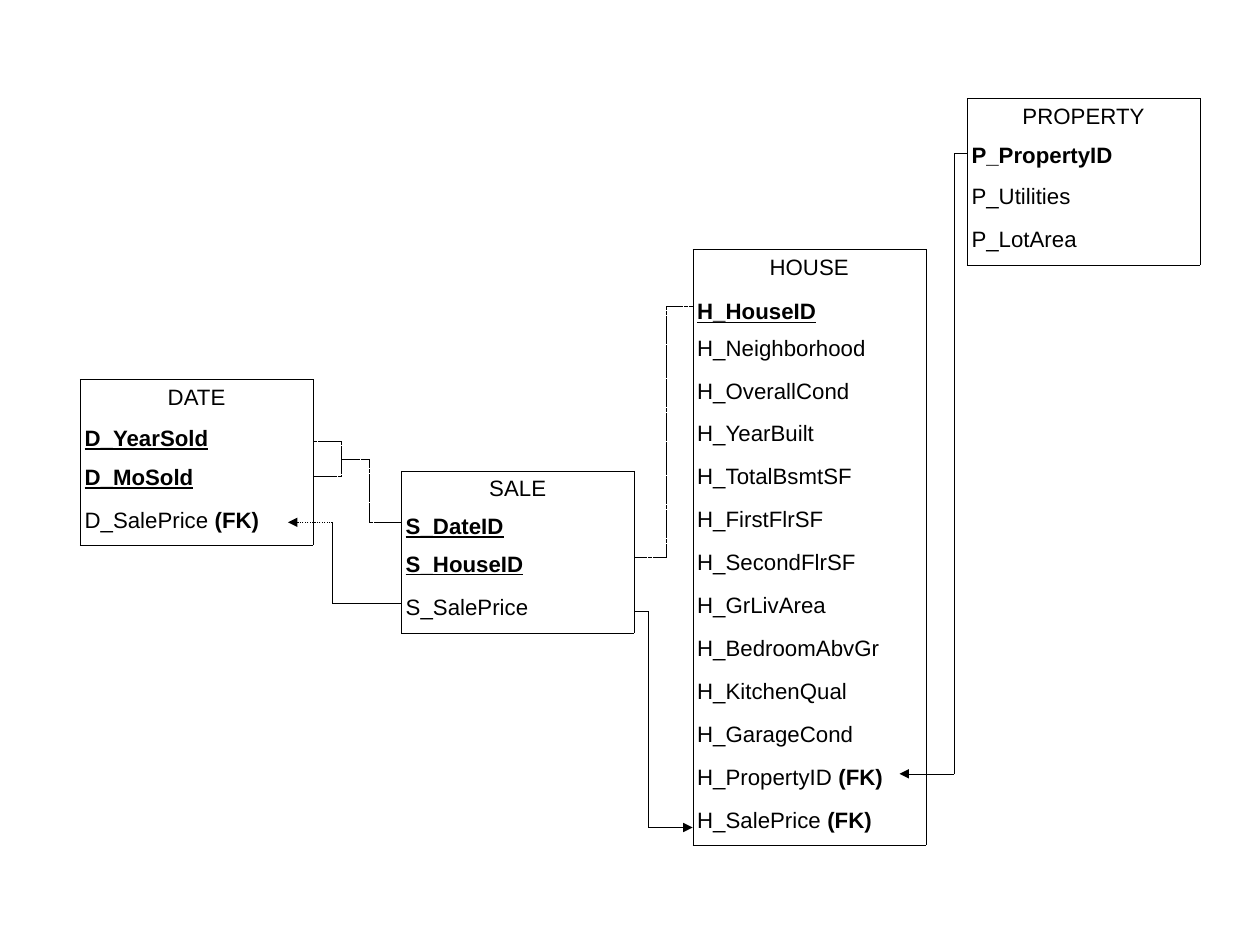
from pptx import Presentation
from pptx.dml.color import RGBColor
from pptx.enum import dml, shapes, text
from pptx.oxml import parse_xml
from pptx.oxml.ns import nsdecls
from pptx.util import Inches, Pt

BLACK = RGBColor(0, 0, 0)
WHITE = RGBColor(255, 255, 255)
CM_PER_INCH = 2.54
ENTITY_WIDTH = 2.04
FK = "(FK)"

ENTITIES = [
    dict(name="PROPERTY", at=(8.46, 0.86), height=1.46, top_rows=[0.34, 0.36],
         keys=["P_PropertyID"], fields=["P_Utilities", "P_LotArea"], underline=False),
    dict(name="SALE", at=(3.51, 4.12), height=1.42, top_rows=[0.33, 0.33],
         keys=["S_DateID", "S_HouseID"], fields=["S_SalePrice"]),
    dict(name="HOUSE", at=(6.06, 2.18), height=5.2, top_rows=[0.39, 0.3],
         keys=["H_HouseID"],
         fields=["H_Neighborhood", "H_OverallCond", "H_YearBuilt", "H_TotalBsmtSF",
                 "H_FirstFlrSF", "H_SecondFlrSF", "H_GrLivArea", "H_BedroomAbvGr",
                 "H_KitchenQual", "H_GarageCond", "H_PropertyID (FK)",
                 "H_SalePrice (FK)"]),
    dict(name="DATE", at=(0.7, 3.32), height=1.45, top_rows=[0.36, 0.34],
         keys=["D_YearSold", "D_MoSold"], fields=["D_SalePrice (FK)"]),
]

PROPERTY_TO_HOUSE = [(8.46, 1.34), (8.35, 1.34), (8.35, 6.77), (7.87, 6.77)]
SALE_TO_HOUSE = [(5.56, 5.35), (5.67, 5.35), (5.67, 7.24), (6.06, 7.24)]
SALE_TO_DATE = [(3.51, 5.28), (2.91, 5.28), (2.91, 4.57), (2.52, 4.57)]
DATE_KEYS = [(2.74, 3.86), (2.99, 3.86), (2.99, 4.17), (2.74, 4.17)]
DATE_KEYS_TO_SALE = [(2.99, 4.02), (3.23, 4.02), (3.23, 4.57), (3.51, 4.57)]
HOUSE_KEY_TO_SALE = [(6.06, 2.68), (5.83, 2.68), (5.83, 4.88), (5.56, 4.88)]


def set_borders(cell, first, last):
    tcPr = cell._tc.get_or_add_tcPr()
    for side, shown in (("L", True), ("R", True), ("T", first), ("B", last)):
        fill = f'<a:solidFill><a:srgbClr val="{BLACK}"/></a:solidFill>' if shown else "<a:noFill/>"
        tcPr.append(parse_xml(
            f'<a:ln{side} {nsdecls("a")} w="{Pt(0.06)}">{fill}</a:ln{side}>'))


def fill_cell(cell, label, header=False, key=False, underline=False):
    cell.fill.solid()
    cell.fill.fore_color.rgb = WHITE
    cell.margin_left = cell.margin_right = Inches(0.04)
    cell.margin_top = cell.margin_bottom = Inches(0.05)
    p = cell.text_frame.paragraphs[0]
    p.alignment = text.PP_ALIGN.CENTER if header else text.PP_ALIGN.LEFT
    p.font.name = "Arial"
    p.font.size = Pt(14)
    p.font.color.rgb = BLACK
    p.font.bold = key
    p.font.underline = underline
    p.add_run().text = label.removesuffix(FK)
    if label.endswith(FK):
        r = p.add_run()
        r.text = FK
        r.font.bold = True


def add_entity(s, name, at, height, top_rows, keys, fields, underline=True):
    labels = [name] + keys + fields
    x, y = at
    table = s.shapes.add_table(len(labels), 1, Inches(x), Inches(y),
                               Inches(ENTITY_WIDTH), Inches(height)).table
    table.first_row = table.horz_banding = False
    other_rows = len(labels) - len(top_rows)
    heights = top_rows + [(height - sum(top_rows)) / other_rows] * other_rows
    for i, (label, row_height) in enumerate(zip(labels, heights)):
        table.rows[i].height = Inches(row_height)
        cell = table.cell(i, 0)
        set_borders(cell, i == 0, i == len(labels) - 1)
        key = label in keys
        fill_cell(cell, label, header=i == 0, key=key, underline=key and underline)


def add_line(group, start, end, dash=None, arrow=False):
    line = group.shapes.add_connector(shapes.MSO_CONNECTOR.STRAIGHT,
                                      *(Inches(v) for v in start + end))
    line.line.color.rgb = BLACK
    if dash:
        line.line.dash_style = dash
    ln = line.line._get_or_add_ln()
    ln.set("w", "0")
    if arrow:
        ln.append(parse_xml(f'<a:tailEnd {nsdecls("a")} type="triangle"/>'))
    line._element.spPr.append(parse_xml(f'<a:effectLst {nsdecls("a")}/>'))


def add_relation(s, *routes, dash=None, arrow=False, tip_dash=None):
    group = s.shapes.add_group_shape()
    for route in routes:
        for start, end in zip(route, route[1:]):
            tip = arrow and end == route[-1]
            add_line(group, start, end, tip_dash if tip else dash, tip)


def main():
    prs = Presentation()
    prs.slide_width = Inches(28 / CM_PER_INCH)
    prs.slide_height = Inches(21 / CM_PER_INCH)
    s = prs.slides.add_slide(prs.slide_layouts[6])
    for entity in ENTITIES:
        add_entity(s, **entity)
    add_relation(s, PROPERTY_TO_HOUSE, arrow=True)
    add_relation(s, SALE_TO_HOUSE, arrow=True)
    add_relation(s, SALE_TO_DATE, arrow=True, tip_dash=dml.MSO_LINE.ROUND_DOT)
    add_relation(s, DATE_KEYS, DATE_KEYS_TO_SALE, dash=dml.MSO_LINE.SQUARE_DOT)
    add_relation(s, HOUSE_KEY_TO_SALE, dash=dml.MSO_LINE.SQUARE_DOT)
    prs.save("out.pptx")


if __name__ == "__main__":
    main()
